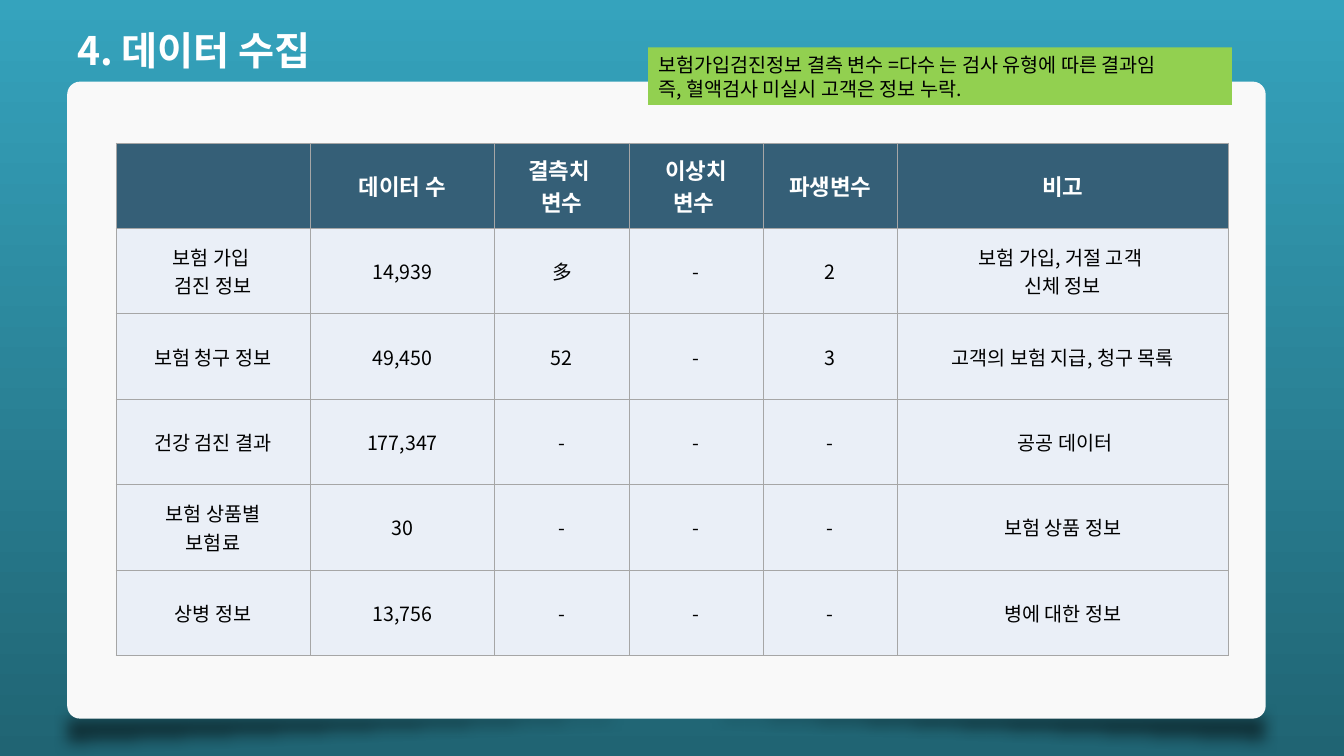
from dataclasses import dataclass

from lxml import etree
from pptx import Presentation
from pptx.dml import color as col
from pptx.enum import shapes as sh, text as tx
from pptx.oxml import ns
from pptx.util import Pt


@dataclass(frozen=True)
class Theme:
    font: str = "Noto Sans CJK KR"
    sky: str = "35A3BD"
    deep: str = "206473"
    card: str = "F9F9F9"
    head: str = "355F77"
    body: str = "EAEFF7"
    rule: str = "A6A6A6"
    note: str = "92D050"
    white: str = "FFFFFF"
    black: str = "000000"
    big: float = 28
    mid: float = 16
    small: float = 14


@dataclass(frozen=True)
class Box:
    left: float
    top: float
    width: float
    height: float

    def pts(self) -> tuple:
        return Pt(self.left), Pt(self.top), Pt(self.width), Pt(self.height)


@dataclass(frozen=True)
class Shade:
    box: Box
    flips: tuple


@dataclass(frozen=True)
class Style:
    size: float
    color: str
    bold: bool = False


T = Theme()
TITLE = Style(T.big, T.white, True)
HEAD = Style(T.mid, T.white, True)
BODY = Style(T.small, T.black)

SHADES = (
    Shade(Box(46.8, 502.6, 865.4, 36), ("flipH", "flipV")),
    Shade(Box(38.9, 504, 865.4, 36), ("flipV",)),
)
CARD = Box(48, 58.3, 856.1, 455)
GRID = Box(82.8, 102.2, 794.4, 366)
COLS = (138.8, 131.8, 95.9, 95.9, 95.9, 236.1)
# \n starts a paragraph, \v breaks a line
ROWS = (
    ("", "데이터 수", "결측치 \v변수", "이상치\v변수 ", "파생변수", "비고"),
    ("보험 가입 \n검진 정보", "14,939", "多", "-", "2", "보험 가입, 거절 고객 \v신체 정보"),
    ("보험 청구 정보", "49,450", "52", "-", "3", "고객의 보험 지급, 청구 목록"),
    ("건강 검진 결과", "177,347", "-", "-", "-", " 공공 데이터"),
    ("보험 상품별\v보험료", "30", "-", "-", "-", "보험 상품 정보"),
    ("상병 정보", "13,756", "-", "-", "-", "병에 대한 정보"),
)


def rgb(code: str) -> col.RGBColor:
    return col.RGBColor.from_string(code)


def sub(node, tag: str, **attrs: str):
    return etree.SubElement(node, ns.qn(tag), **attrs)


def write(frame, words: str, style: Style, align=tx.PP_ALIGN.LEFT, pitch: float = 0) -> None:
    frame.text = words
    for para in frame.paragraphs:
        para.alignment = align
        if pitch:
            para.line_spacing = Pt(pitch)
        font = para.font
        font.size, font.bold, font.name = Pt(style.size), style.bold, T.font
        font.color.rgb = rgb(style.color)
        # Hangul takes the East Asian typeface
        sub(para._p.pPr.find(ns.qn("a:defRPr")), "a:ea", typeface=T.font)


def fit(frame) -> None:
    frame.word_wrap = True
    frame.auto_size = tx.MSO_AUTO_SIZE.SHAPE_TO_FIT_TEXT


def block(slide, kind, box: Box, fill: str):
    shape = slide.shapes.add_shape(kind, *box.pts())
    shape.shadow.inherit = False
    shape.fill.solid()
    shape.fill.fore_color.rgb = rgb(fill)
    shape.line.fill.background()
    return shape


def shade(slide, item: Shade) -> None:
    shape = block(slide, sh.MSO_SHAPE.RIGHT_TRIANGLE, item.box, T.black)
    props = shape._element.spPr
    for flip in item.flips:
        props.find(ns.qn("a:xfrm")).set(flip, "1")
    sub(props.find(".//" + ns.qn("a:srgbClr")), "a:alpha", val="51000")
    sub(props.find(ns.qn("a:effectLst")), "a:softEdge", rad=str(Pt(10)))


def edge(cell) -> None:
    props = cell._tc.get_or_add_tcPr()
    for spot, side in enumerate(("a:lnL", "a:lnR", "a:lnT", "a:lnB")):
        line = etree.Element(ns.qn(side), w=str(Pt(0.5)))
        sub(sub(line, "a:solidFill"), "a:srgbClr", val=T.rule)
        props.insert(spot, line)


def grid(slide) -> None:
    table = slide.shapes.add_table(len(ROWS), len(COLS), *GRID.pts()).table
    for column, width in zip(table.columns, COLS):
        column.width = Pt(width)
    for r, row in enumerate(ROWS):
        table.rows[r].height = Pt(GRID.height / len(ROWS))
        for c, words in enumerate(row):
            cell = table.cell(r, c)
            cell.vertical_anchor = tx.MSO_ANCHOR.MIDDLE
            cell.fill.solid()
            cell.fill.fore_color.rgb = rgb(T.body if r else T.head)
            edge(cell)
            write(cell.text_frame, words, BODY if r else HEAD, tx.PP_ALIGN.CENTER)


def main() -> None:
    deck = Presentation()
    deck.slide_width, deck.slide_height = Pt(960), Pt(540)
    slide = deck.slides.add_slide(deck.slide_layouts[6])

    # Background, top to bottom
    back = slide.background.fill
    back.gradient()
    back.gradient_angle = 270
    for stop, code in zip(back.gradient_stops, (T.sky, T.deep)):
        stop.color.rgb = rgb(code)

    # Card on its curled shadow
    for item in SHADES:
        shade(slide, item)
    card = block(slide, sh.MSO_SHAPE.ROUNDED_RECTANGLE, CARD, T.card)
    card.adjustments[0] = 0.02

    # Data table
    grid(slide)

    # Title
    title = slide.shapes.add_textbox(*Box(48, 15.1, 541.4, 41.2).pts()).text_frame
    fit(title)
    write(title, "4. 데이터 수집", TITLE, pitch=34)

    # Green note
    note = block(slide, sh.MSO_SHAPE.RECTANGLE, Box(463, 33.8, 416.9, 41.2), T.note).text_frame
    fit(note)
    write(note, "보험가입검진정보 결측 변수 =다수 는 검사 유형에 따른 결과임\n"
                "즉, 혈액검사 미실시 고객은 정보 누락.", BODY, pitch=17)

    deck.save("out.pptx")


if __name__ == "__main__":
    main()
